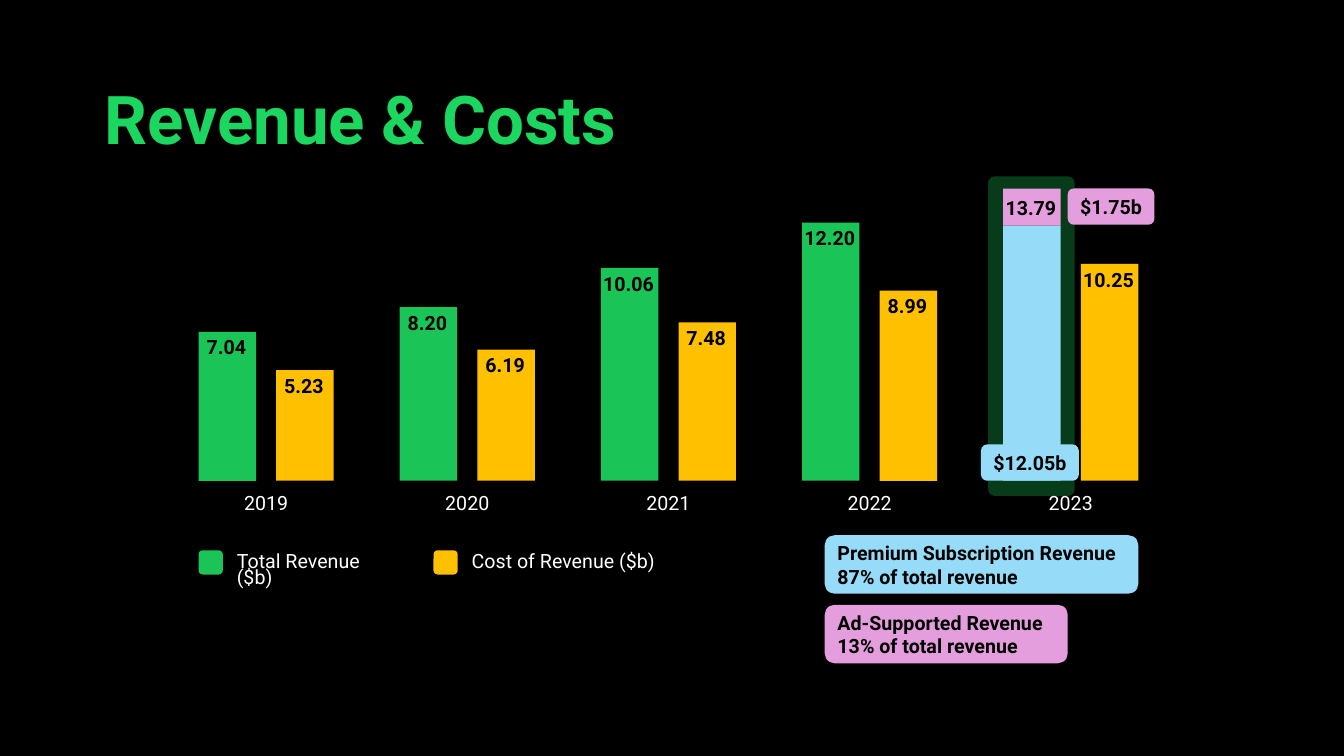
"""Build the revenue and costs slide."""
from pptx import Presentation
from pptx.dml.color import RGBColor
from pptx.enum import shapes, text
from pptx.oxml import parse_xml
from pptx.oxml.ns import nsdecls
from pptx.util import Inches, Pt

BLACK = RGBColor(0x00, 0x00, 0x00)
WHITE = RGBColor(0xFF, 0xFF, 0xFF)
TITLE_GREEN = RGBColor(0x1B, 0xD7, 0x60)
GREEN = RGBColor(0x1B, 0xC4, 0x57)
AMBER = RGBColor(0xFF, 0xC0, 0x00)
BLUE = RGBColor(0x96, 0xDC, 0xF8)
PINK = RGBColor(0xE5, 0x9E, 0xDD)

RECTANGLE = shapes.MSO_SHAPE.RECTANGLE
ROUNDED = shapes.MSO_SHAPE.ROUNDED_RECTANGLE
LEFT, CENTER = text.PP_ALIGN.LEFT, text.PP_ALIGN.CENTER
TOP, MIDDLE = text.MSO_ANCHOR.TOP, text.MSO_ANCHOR.MIDDLE

YEARS = [
    ("2019", "7.04", "5.23"),
    ("2020", "8.20", "6.19"),
    ("2021", "10.06", "7.48"),
    ("2022", "12.20", "8.99"),
    ("2023", "13.79", "10.25"),
]
PREMIUM, AD_SUPPORTED = 12.05, 1.75
INCHES_PER_BILLION = 0.21
BAR_WIDTH = 0.57
BAR_STEP = 0.77
YEAR_STEP = 1.995


def write(shape, content, *, size=14, color=BLACK, bold=True, align=LEFT,
          anchor=TOP, line_spacing=None, wrap=True):
    """Write the lines of content into a shape with one format."""
    frame = shape.text_frame
    frame.word_wrap = wrap
    frame.vertical_anchor = anchor
    frame.text = content
    for paragraph in frame.paragraphs:
        paragraph.alignment = align
        if line_spacing:
            paragraph.line_spacing = line_spacing
        for run in paragraph.runs:
            run.font.name = "Roboto"
            run.font.size = Pt(size)
            run.font.bold = bold
            run.font.color.rgb = color


def add_block(slide, kind, box, color):
    """Add a filled shape without line or shadow."""
    shape = slide.shapes.add_shape(kind, *map(Inches, box))
    shape.shadow.inherit = False
    shape.fill.solid()
    shape.fill.fore_color.rgb = color
    shape.line.fill.background()
    return shape


def add_label(slide, box, content, **text_format):
    """Add a text box."""
    label = slide.shapes.add_textbox(*map(Inches, box))
    write(label, content, **text_format)


def add_badge(slide, box, content, color, align=CENTER):
    """Add a rounded block with text centred vertically."""
    badge = add_block(slide, ROUNDED, box, color)
    write(badge, content, align=align, anchor=MIDDLE)


def add_highlight(slide, box):
    """Add the translucent frame behind the latest revenue bar."""
    frame = add_block(slide, ROUNDED, box, GREEN)
    frame.adjustments[0] = 0.076
    color = frame.fill._xPr.find(".//{*}srgbClr")
    color.append(parse_xml(f'<a:alpha {nsdecls("a")} val="30000"/>'))


def add_bar(slide, left, base, segments, value, label_gap=0.05):
    """Stack coloured segments upward from base and label their top."""
    top = base
    for amount, color in segments:
        height = amount * INCHES_PER_BILLION
        top -= height
        add_block(slide, RECTANGLE, (left, top, BAR_WIDTH, height), color)
    label_width = 0.78
    label_left = left + (BAR_WIDTH - label_width) / 2 - 0.01
    add_label(slide, (label_left, top + label_gap, label_width, 0.28), value,
              align=CENTER, line_spacing=0.7)


def add_bars(slide, left, base):
    """Draw a pair of bars and a label for each year."""
    latest = len(YEARS) - 1
    latest_left = left + latest * YEAR_STEP
    add_highlight(slide, (latest_left - 0.15, base - 3.02, 0.86, 3.17))
    for index, (year, revenue, cost) in enumerate(YEARS):
        year_left = left + index * YEAR_STEP
        if index == latest:
            add_bar(slide, year_left, base,
                    [(PREMIUM, BLUE), (AD_SUPPORTED, PINK)], revenue, 0.09)
        else:
            add_bar(slide, year_left, base, [(float(revenue), GREEN)], revenue)
        add_bar(slide, year_left + BAR_STEP, base, [(float(cost), AMBER)], cost)
        add_label(slide, (year_left, base + 0.11, BAR_STEP + BAR_WIDTH, 0.31), year,
                  color=WHITE, bold=False, align=CENTER, line_spacing=0.7)
    add_badge(slide, (latest_left - 0.22, base - 0.36, 0.97, 0.36),
              f"${PREMIUM}b", BLUE)
    add_badge(slide, (latest_left + 0.64, base - 2.9, 0.86, 0.36),
              f"${AD_SUPPORTED}b", PINK)


def add_legend(slide, left, top):
    """Draw a swatch and a name for each series."""
    entries = [("Total Revenue ($b)", GREEN, 0, 1.79),
               ("Cost of Revenue ($b)", AMBER, 2.33, 2.08)]
    for name, color, offset, width in entries:
        add_block(slide, ROUNDED, (left + offset, top, 0.24, 0.24), color)
        add_label(slide, (left + offset + 0.28, top, width, 0.24), name,
                  color=WHITE, bold=False, line_spacing=0.7)


def add_shares(slide, left, top):
    """Draw the cards that explain the parts of the latest revenue."""
    cards = [("Premium Subscription Revenue\n87% of total revenue", BLUE, 3.11),
             ("Ad-Supported Revenue\n13% of total revenue", PINK, 2.41)]
    for index, (content, color, width) in enumerate(cards):
        add_badge(slide, (left, top + index * 0.69, width, 0.58), content, color, LEFT)


def main():
    """Build and save the presentation."""
    presentation = Presentation()
    presentation.slide_width = Inches(13.33)
    presentation.slide_height = Inches(7.5)
    slide = presentation.slides.add_slide(presentation.slide_layouts[6])
    slide.background.fill.solid()
    slide.background.fill.fore_color.rgb = BLACK
    add_label(slide, (0.94, 0.72, 5.38, 0.91), "Revenue & Costs",
              size=48, color=TITLE_GREEN, wrap=False)
    add_bars(slide, 1.97, 4.77)
    add_legend(slide, 1.97, 5.46)
    add_shares(slide, 8.18, 5.31)
    presentation.save("out.pptx")


if __name__ == "__main__":
    main()
